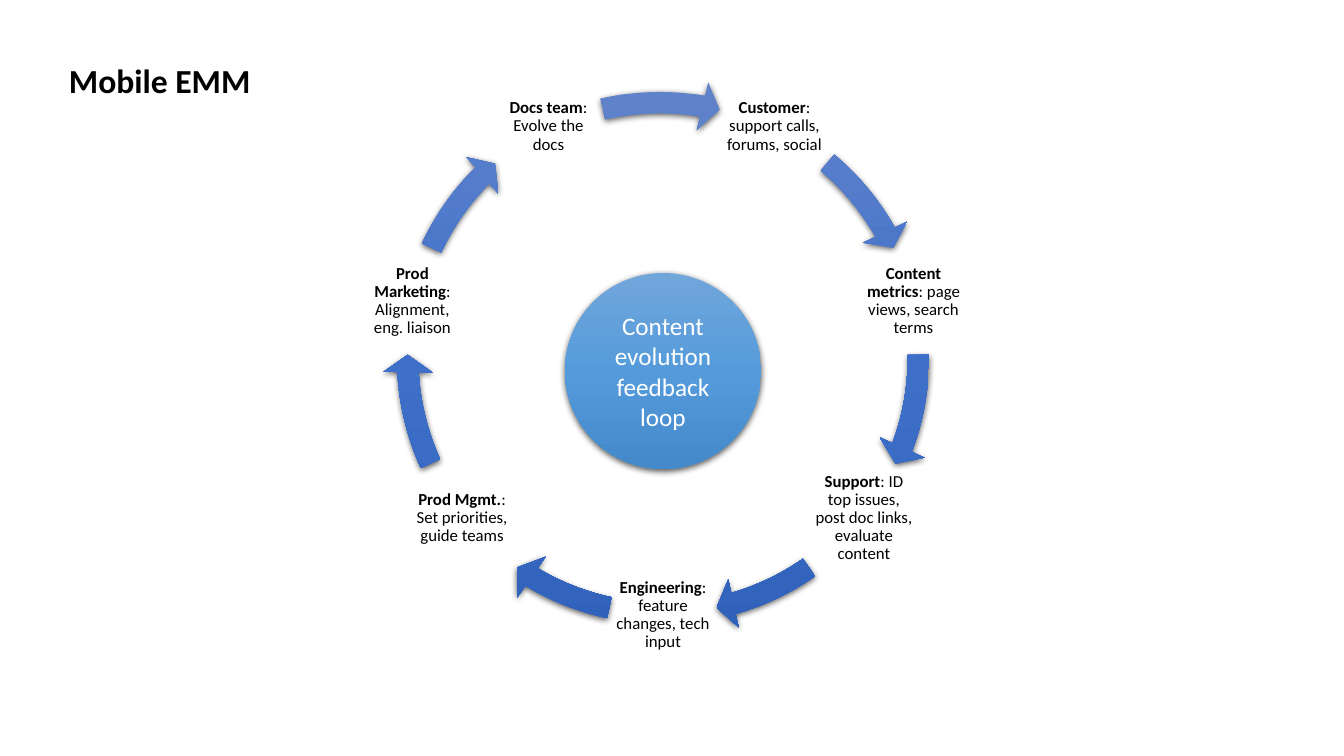
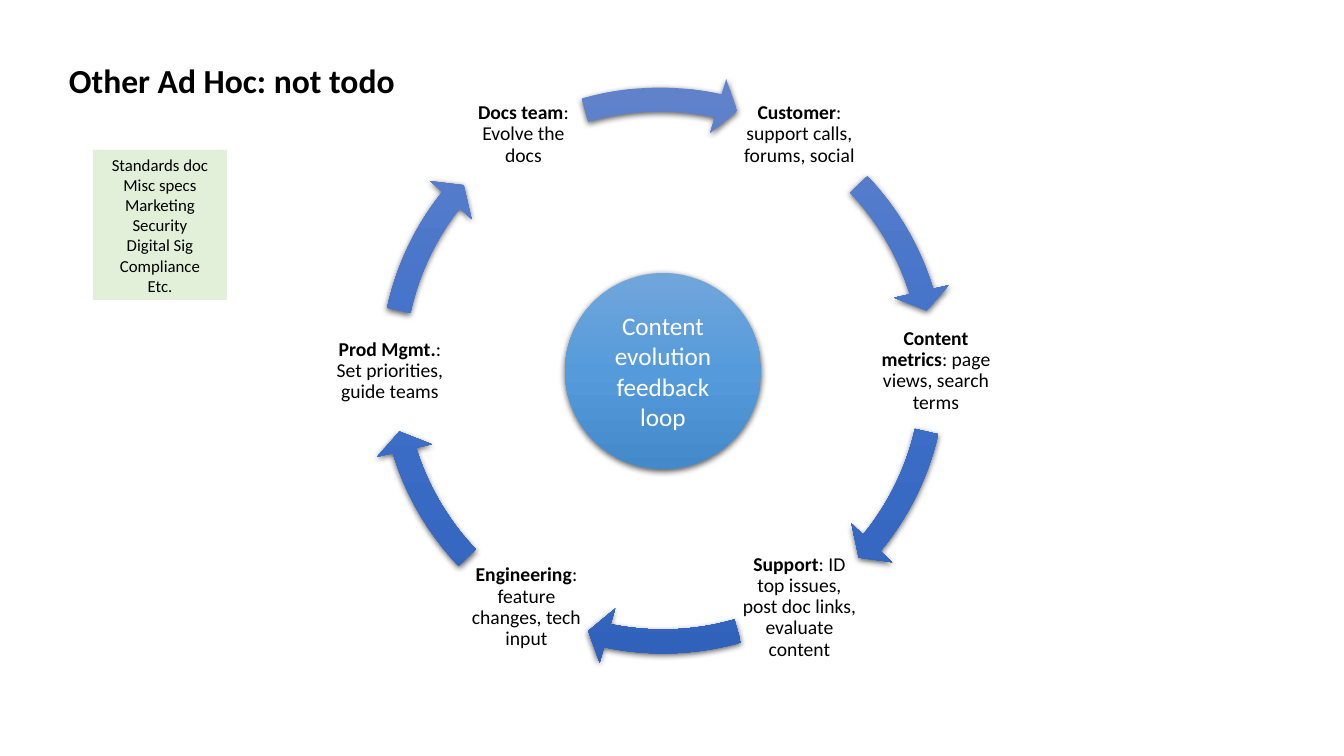
from copy import deepcopy
from math import cos, radians, sin

from pptx import Presentation
from pptx.dml.color import RGBColor
from pptx.enum.shapes import MSO_SHAPE
from pptx.enum.text import MSO_ANCHOR, PP_ALIGN
from pptx.oxml.ns import qn
from pptx.util import Emu, Pt
from lxml import etree

ARC = MSO_SHAPE.CIRCULAR_ARROW
OVAL = MSO_SHAPE.OVAL
RECT = MSO_SHAPE.RECTANGLE
MIDDLE = MSO_ANCHOR.MIDDLE
LEFT = PP_ALIGN.LEFT
CENTER = PP_ALIGN.CENTER

FONT = "Calibri"
BLACK = RGBColor(0x00, 0x00, 0x00)
WHITE = RGBColor(0xFF, 0xFF, 0xFF)
GREEN = RGBColor(0xE2, 0xF0, 0xD9)
ROYAL = [RGBColor(0x61, 0x83, 0xCB), RGBColor(0x3E, 0x70, 0xCA), RGBColor(0x30, 0x62, 0xBB)]
SKY = [RGBColor(0x71, 0xA6, 0xDB), RGBColor(0x55, 0x9B, 0xDB), RGBColor(0x44, 0x8A, 0xCA)]

CUSTOMER = ("Customer", ": support calls, forums, social")
METRICS = ("Content metrics", ": page views, search terms")
SUPPORT = ("Support", ": ID top issues, post doc links, evaluate content")
BUILD = ("Engineering", ": feature changes, tech input")
MANAGE = ("Prod Mgmt.", ": Set priorities, guide teams")
MARKET = ("Prod Marketing", ": Alignment, eng. liaison")
DOCS = ("Docs team", ": Evolve the docs")


def px(count):
    return Emu(round(count * 914400 / 100.8))


class Deck:
    """Holds the shared style and the current slide."""

    def __init__(self):
        self.prs = Presentation()
        self.prs.slide_width = px(1344)
        self.prs.slide_height = px(756)
        self.slide = None

    def page(self, title):
        self.slide = self.prs.slides.add_slide(self.prs.slide_layouts[6])
        box = self.text(59, 40, 1191, 85)
        self.put(box, [(title, "")], 24, align=LEFT, space=0.9)

    def text(self, x, y, w, h):
        return self.slide.shapes.add_textbox(px(x), px(y), px(w), px(h))

    def shape(self, kind, x, y, w, h):
        item = self.slide.shapes.add_shape(kind, px(x), px(y), px(w), px(h))
        item.line.fill.background()
        item.shadow.inherit = False
        return item

    def put(self, item, lines, size, color=BLACK, align=CENTER, space=None):
        frame = item.text_frame
        frame.word_wrap = True
        frame.vertical_anchor = MIDDLE
        for i, (head, rest) in enumerate(lines):
            para = frame.add_paragraph() if i else frame.paragraphs[0]
            para.alignment = align
            para.line_spacing = space
            para.font.name = FONT
            para.font.size = Pt(size)
            para.font.color.rgb = color
            for part, bold in ((head, True), (rest, False)):
                if part:
                    run = para.add_run()
                    run.text = part
                    run.font.bold = bold

    def gloss(self, item, colors):
        fill = item.fill
        fill.gradient()
        fill.gradient_angle = 270
        props = item._element.spPr
        stops = props.find(".//" + qn("a:gsLst"))
        stops.insert(1, deepcopy(stops[0]))
        for stop, color, place in zip(fill.gradient_stops, colors, (0, 0.5, 1)):
            stop.color.rgb = color
            stop.position = place
        cast = etree.SubElement(
            props.find(qn("a:effectLst")), qn("a:outerShdw"),
            blurRad=str(Pt(4.5)), dist=str(Pt(1.5)), dir="5400000",
            algn="ctr", rotWithShape="0")
        tone = etree.SubElement(cast, qn("a:srgbClr"), val="000000")
        etree.SubElement(tone, qn("a:alpha"), val="63000")

    def label(self, x, y, side, words, size):
        box = self.text(x - side / 2, y - side / 2, side, side)
        frame = box.text_frame
        frame.margin_left = frame.margin_right = px(2)
        frame.margin_top = frame.margin_bottom = px(2)
        self.put(box, [words], size, space=0.9)

    def arrow(self, x, y, side, start, end, thick, tip, wide):
        arc = self.shape(ARC, x - side / 2, y - side / 2, side, side)
        values = (thick / 100, tip * 0.6, end * 0.6, start * 0.6, wide / 100)
        for i, value in enumerate(values):
            arc.adjustments[i] = value
        self.gloss(arc, ROYAL)

    def ring(self, nodes, mid, reach, side, size, span, thick, tip, wide):
        step = 360 / len(nodes)
        for i, (words, start, end, dx, dy) in enumerate(nodes):
            turn = radians(step * (i + 0.5) - 90)
            x = 663 + dx
            self.label(x + reach * cos(turn), mid + reach * sin(turn), side, words, size)
            self.arrow(x, mid + dy, span, start, end, thick, tip, wide)

    def hub(self, words):
        disc = self.shape(OVAL, 565, 273, 196, 196)
        self.gloss(disc, SKY)
        self.put(disc, [("", words)], 18, WHITE)

    def note(self, x, y, w, h, lines):
        card = self.shape(RECT, x, y, w, h)
        card.fill.solid()
        card.fill.fore_color.rgb = GREEN
        self.put(card, [("", line) for line in lines], 12)


def main():
    deck = Deck()
    hub = "Content evolution feedback loop"

    deck.page("Mobile EMM")
    deck.ring([
        (CUSTOMER, 310.08, 330.46, 0, 0),
        (METRICS, 359.28, 20.52, 0, 0),
        (SUPPORT, 55.12, 73.97, 0, 0),
        (BUILD, 102.12, 120.97, 0, 0),
        (MANAGE, 155.57, 176.81, 0, 0),
        (MARKET, 205.02, 224.96, 0, -2),
        (DOCS, 257.05, 279.58, -3, 0),
    ], mid=358, reach=257, side=108, size=12, span=560, thick=3.8, tip=3.91, wide=4.4)
    deck.hub(hub)

    deck.page("Other Ad Hoc: not todo")
    deck.ring([
        (CUSTOMER, 316.38, 342.9, 0, 0),
        (METRICS, 12.94, 39.46, 0, 0),
        (SUPPORT, 73.97, 101.86, 0, 0),
        (BUILD, 136.38, 162.9, 0, 0),
        (MANAGE, 192.32, 218.37, 0, -3),
        (DOCS, 253.9, 282.43, -3, -1),
    ], mid=371, reach=273, side=122, size=14, span=597, thick=4, tip=4.17, wide=4.7)
    deck.hub(hub)
    deck.note(93, 150, 134, 150, [
        "Standards doc", "Misc specs", "Marketing", "Security",
        "Digital Sig", "Compliance", "Etc."])

    deck.prs.save("out.pptx")


if __name__ == "__main__":
    main()
